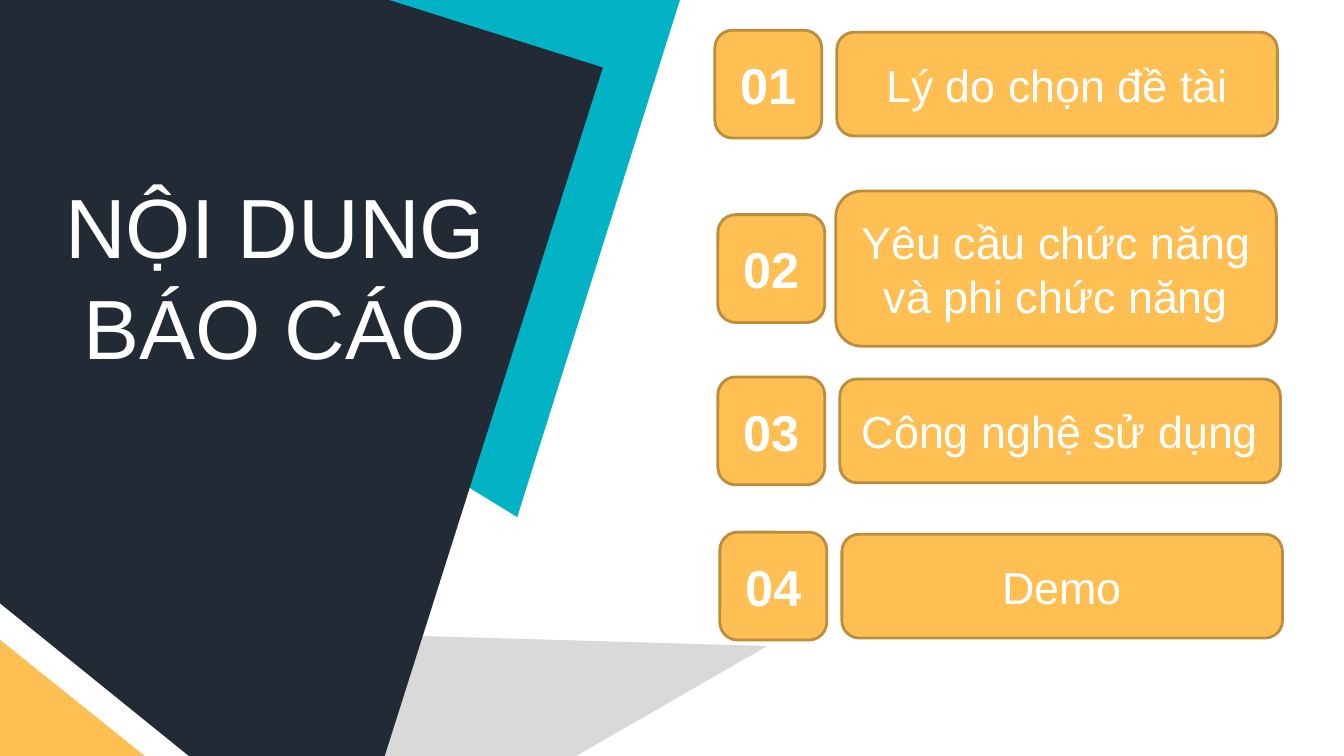
from dataclasses import dataclass

from pptx import Presentation
from pptx.dml.color import RGBColor
from pptx.enum.shapes import MSO_SHAPE
from pptx.enum.text import MSO_ANCHOR, MSO_AUTO_SIZE, PP_ALIGN
from pptx.shapes.autoshape import Shape
from pptx.slide import Slide
from pptx.util import Inches, Pt

WHITE = RGBColor(0xFF, 0xFF, 0xFF)
GREY = RGBColor(0xD9, 0xD9, 0xD9)
TEAL = RGBColor(0x01, 0xB3, 0xC5)
NAVY = RGBColor(0x22, 0x2A, 0x35)
AMBER = RGBColor(0xFF, 0xBF, 0x53)
BROWN = RGBColor(0xBD, 0x8D, 0x3D)

FONT = "Arial"
BADGE_WIDTH, BADGE_HEIGHT = 1.06, 1.07
TOPIC_WIDTH = 4.37


@dataclass(frozen=True)
class Panel:
    color: RGBColor
    corners: tuple[tuple[float, float], ...]


@dataclass(frozen=True)
class AgendaItem:
    topic: str
    badge_left: float
    badge_top: float
    topic_left: float
    topic_height: float = 1.03


PANELS = (
    Panel(GREY, ((2.9, 9.12), (2.47, 6.26), (7.61, 6.41))),
    Panel(TEAL, ((-1.06, -2.49), (6.75, -0.02), (5.13, 5.13), (-2.07, 0.71))),
    Panel(NAVY, ((-1.84, -1.8), (5.98, 0.67), (3.42, 8.75), (-3.42, 3.22))),
)

AGENDA = (
    AgendaItem("Lý do chọn đề tài", 7.09, 0.3, 8.3),
    AgendaItem("Yêu cầu chức năng và phi chức năng", 7.12, 2.13, 8.29, 1.54),
    AgendaItem("Công nghệ sử dụng", 7.12, 3.74, 8.33),
    AgendaItem("Demo", 7.14, 5.28, 8.35),
)


def write_text(shape: Shape, text: str, size: int, bold: bool = False) -> None:
    """Put one centred white paragraph in the shape."""
    frame = shape.text_frame
    frame.text = text
    frame.word_wrap = True
    paragraph = frame.paragraphs[0]
    paragraph.alignment = PP_ALIGN.CENTER
    font = paragraph.runs[0].font
    font.name = FONT
    font.size = Pt(size)
    font.bold = bold
    font.color.rgb = WHITE


def fill_plain(shape: Shape, color: RGBColor) -> None:
    shape.shadow.inherit = False
    shape.fill.solid()
    shape.fill.fore_color.rgb = color
    shape.line.fill.background()


def add_panel(slide: Slide, panel: Panel) -> None:
    points = [(Inches(x), Inches(y)) for x, y in panel.corners]
    builder = slide.shapes.build_freeform(*points[0])
    builder.add_line_segments(points[1:], close=True)
    fill_plain(builder.convert_to_shape(), panel.color)


def add_corner_triangle(slide: Slide) -> None:
    triangle = slide.shapes.add_shape(
        MSO_SHAPE.RIGHT_TRIANGLE, Inches(-4.19), Inches(4.68), Inches(8.2), Inches(3.19)
    )
    triangle.rotation = 17.5
    fill_plain(triangle, AMBER)


def place_title(slide: Slide) -> None:
    """Format the title placeholder and bring it in front of the panels."""
    title = slide.shapes.title
    title.left, title.top = Inches(0.32), Inches(1.68)
    title.width, title.height = Inches(4.82), Inches(2.12)
    write_text(title, "NỘI DUNG BÁO CÁO", 60)
    title.text_frame.vertical_anchor = MSO_ANCHOR.TOP
    title.text_frame.auto_size = MSO_AUTO_SIZE.SHAPE_TO_FIT_TEXT
    title.element.getparent().append(title.element)


def add_card(slide: Slide, left: float, top: float, width: float, height: float) -> Shape:
    card = slide.shapes.add_shape(
        MSO_SHAPE.ROUNDED_RECTANGLE, Inches(left), Inches(top), Inches(width), Inches(height)
    )
    fill_plain(card, AMBER)
    card.line.color.rgb = BROWN
    card.line.width = Pt(2)
    card.text_frame.vertical_anchor = MSO_ANCHOR.MIDDLE
    return card


def add_agenda_item(slide: Slide, number: int, item: AgendaItem) -> None:
    """Draw a topic card centred vertically on its number badge."""
    topic_top = item.badge_top + (BADGE_HEIGHT - item.topic_height) / 2
    topic = add_card(slide, item.topic_left, topic_top, TOPIC_WIDTH, item.topic_height)
    write_text(topic, item.topic, 32)
    badge = add_card(slide, item.badge_left, item.badge_top, BADGE_WIDTH, BADGE_HEIGHT)
    write_text(badge, f"{number:02}", 36, bold=True)


def main() -> None:
    presentation = Presentation()
    presentation.slide_width = Inches(13.33)
    presentation.slide_height = Inches(7.5)
    slide = presentation.slides.add_slide(presentation.slide_layouts.get_by_name("Title Only"))

    for panel in PANELS:
        add_panel(slide, panel)
    add_corner_triangle(slide)
    place_title(slide)
    for number, item in enumerate(AGENDA, start=1):
        add_agenda_item(slide, number, item)

    presentation.save("out.pptx")


if __name__ == "__main__":
    main()
